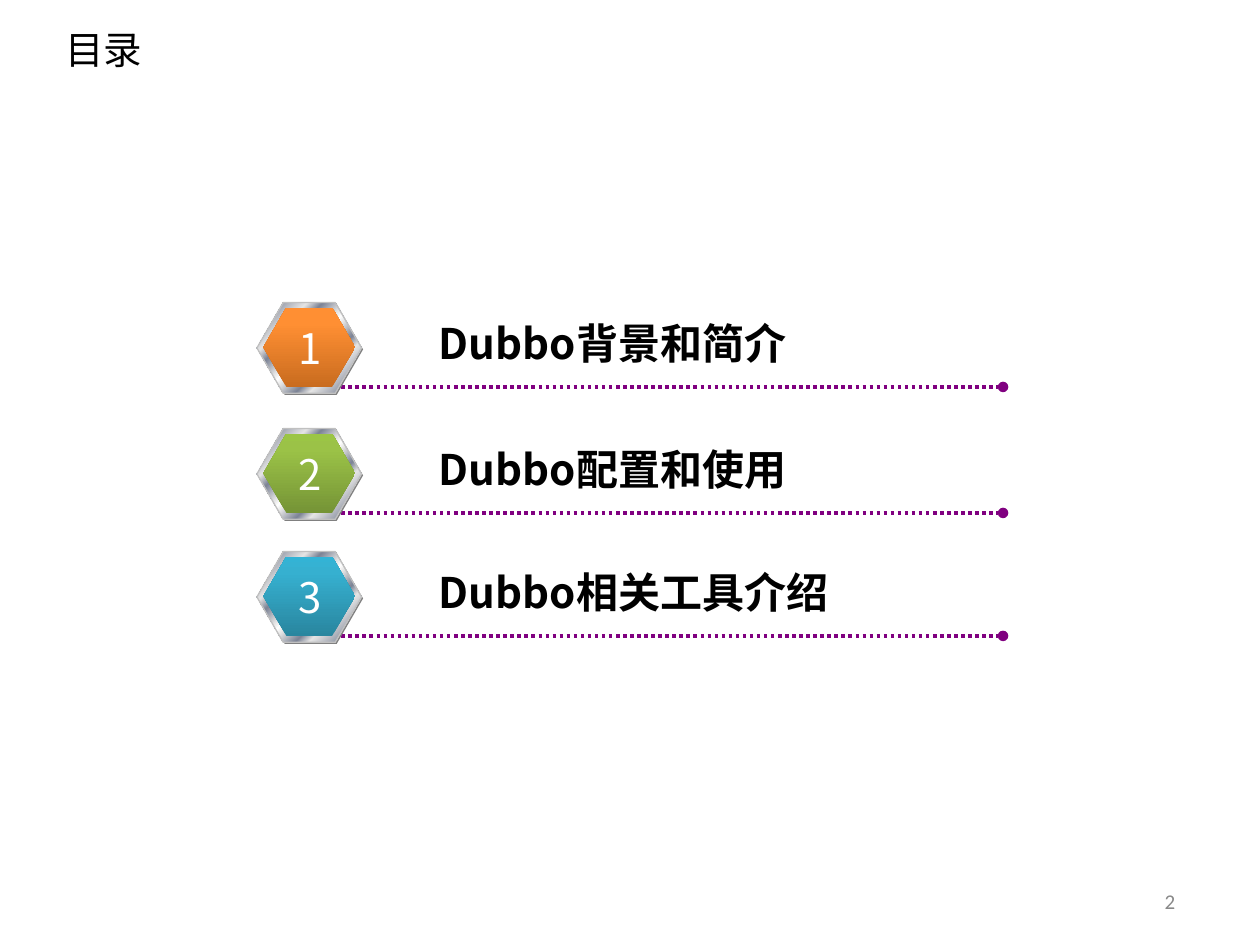
from lxml.etree import SubElement
from pptx import Presentation
from pptx.dml.color import RGBColor
from pptx.enum.dml import MSO_LINE
from pptx.enum.shapes import MSO_CONNECTOR, MSO_SHAPE
from pptx.enum.text import MSO_ANCHOR, MSO_AUTO_SIZE, PP_ALIGN
from pptx.oxml.ns import qn
from pptx.util import Cm, Pt

METAL = [(0, "E6E6E6"), (7, "7D8496"), (26, "E6E6E6"), (34, "7D8496"),
         (46, "E6E6E6"), (50, "FFFFFF"), (54, "E6E6E6"), (66, "7D8496"),
         (73, "E6E6E6"), (92, "7D8496"), (100, "E6E6E6")]

# top of the row, heading, width of the heading, badge colours from bottom to top
CHAPTERS = [
    (6.10, "Dubbo背景和简介", 7.72, ("C96C1F", "FF8F33", "FF8F35")),
    (8.64, "Dubbo配置和使用", 7.72, ("759436", "9BC247", "9BC545")),
    (11.12, "Dubbo相关工具介绍", 8.59, ("29869F", "36B0D0", "33B3D5")),
]


def rgb(hex_colour):
    return RGBColor.from_string(hex_colour)


def write(frame, text, size, font="Noto Sans CJK SC", colour="000000",
          bold=False, align=PP_ALIGN.LEFT):
    paragraph = frame.paragraphs[0]
    paragraph.alignment = align
    run = paragraph.add_run()
    run.text = text
    run.font.size = Pt(size)
    run.font.name = font
    run.font.bold = bold
    run.font.color.rgb = rgb(colour)
    SubElement(run.font._element, qn("a:ea"), typeface=font)


class Agenda:
    """Draws on one slide; `shapes` is the slide's tree or the current group."""

    rule_colour = "800080"
    rim_colour = "C0C0C0"
    shade_colour = "808080"

    def __init__(self, slide):
        self.slide = slide
        self.shapes = slide.shapes

    def start_group(self):
        self.shapes = self.slide.shapes.add_group_shape().shapes

    def end_group(self):
        self.shapes = self.slide.shapes

    def label(self, text, left, top, width, height, size, wrap=True, **style):
        box = self.shapes.add_textbox(Cm(left), Cm(top), Cm(width), Cm(height))
        frame = box.text_frame
        frame.word_wrap = wrap
        if not wrap:
            frame.auto_size = MSO_AUTO_SIZE.SHAPE_TO_FIT_TEXT
        write(frame, text, size, **style)
        return frame

    def hexagon(self, left, top, width, height):
        shape = self.shapes.add_shape(
            MSO_SHAPE.HEXAGON, Cm(left), Cm(top), Cm(width), Cm(height))
        shape.adjustments[0] = 0.29
        shape.shadow.inherit = False
        shape.line.fill.background()
        return shape

    def shade(self, shape, stops, angle):
        """Fill with a gradient; the angle runs counter-clockwise."""
        shape.fill.gradient()
        shape.fill.gradient_angle = angle
        stop_list = shape._element.spPr.find(".//" + qn("a:gsLst"))
        stop_list.clear()
        for percent, colour in stops:
            stop = SubElement(stop_list, qn("a:gs"), pos=str(percent * 1000))
            SubElement(stop, qn("a:srgbClr"), val=colour)

    def badge(self, number, top, colours):
        shadow = self.hexagon(5.21, top + 0.03, 2.11, 1.83)
        shadow.fill.solid()
        shadow.fill.fore_color.rgb = rgb(self.shade_colour)

        rim = self.hexagon(5.18, top, 2.11, 1.83)
        self.shade(rim, METAL, 315)
        rim.line.color.rgb = rgb(self.rim_colour)
        rim.line.width = Pt(0.75)

        face = self.hexagon(5.31, top + 0.1, 1.85, 1.6)
        self.shade(face, zip((0, 80, 100), colours), 90)

        self.label(str(number), 5.74, top + 0.27, 1.02, 1.28, 24, wrap=False,
                   colour="FFFFFF", align=PP_ALIGN.CENTER)

    def rule(self, top):
        line = self.shapes.add_connector(
            MSO_CONNECTOR.STRAIGHT, Cm(6.88), Cm(top), Cm(20.22), Cm(top))
        line.line.color.rgb = rgb(self.rule_colour)
        line.line.width = Pt(2)
        line.line.dash_style = MSO_LINE.ROUND_DOT
        properties = line._element.spPr
        SubElement(properties.find(qn("a:ln")), qn("a:tailEnd"), type="oval")
        SubElement(properties, qn("a:effectLst"))

    def chapter(self, number, top, heading, width, colours):
        self.start_group()
        self.rule(top + 1.7)
        self.badge(number, top, colours)
        self.label(heading, 8.6, top + 0.18, width, 1.28, 24, wrap=False, bold=True)
        self.end_group()


def main():
    deck = Presentation()
    deck.slide_width, deck.slide_height = Cm(25.4), Cm(19.05)
    agenda = Agenda(deck.slides.add_slide(deck.slide_layouts[6]))

    agenda.label("目录", 1.07, 0.41, 18.24, 1.17, 22)
    for number, chapter in enumerate(CHAPTERS, start=1):
        agenda.chapter(number, *chapter)

    page_number = agenda.label("2", 18.21, 17.65, 5.92, 1.02, 12, font="Calibri",
                               colour="898989", align=PP_ALIGN.RIGHT)
    page_number.vertical_anchor = MSO_ANCHOR.MIDDLE
    page_number.margin_right = Cm(0.44)

    deck.save("out.pptx")


if __name__ == "__main__":
    main()
